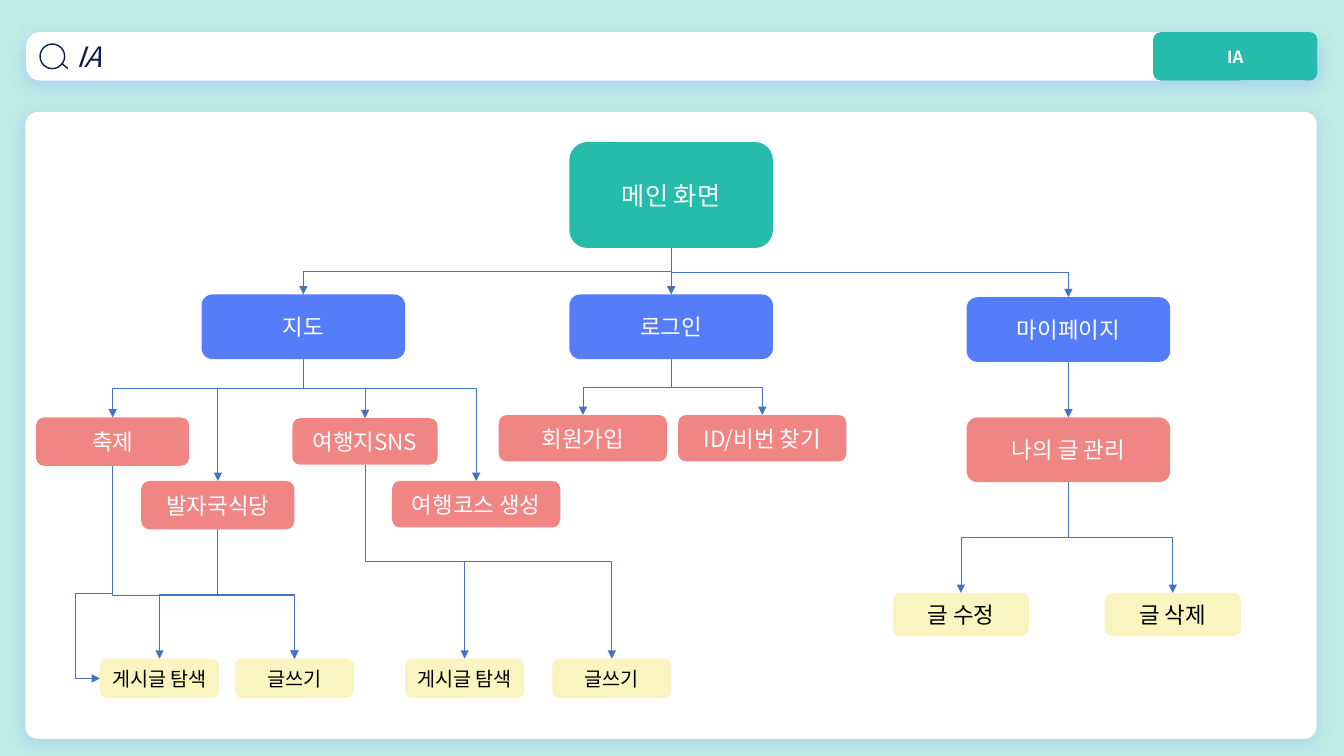
import pptx
import pptx.util
import pptx.dml.color
import pptx.enum.shapes
import pptx.enum.text
import pptx.oxml.ns
import lxml.etree

Cm = pptx.util.Cm
Pt = pptx.util.Pt
qn = pptx.oxml.ns.qn
MSO_SHAPE = pptx.enum.shapes.MSO_SHAPE
MSO_CONNECTOR = pptx.enum.shapes.MSO_CONNECTOR
MSO_ANCHOR = pptx.enum.text.MSO_ANCHOR
PP_ALIGN = pptx.enum.text.PP_ALIGN

COLORS = {
    "page": "BEEBE6", "white": "FFFFFF", "teal": "26BBAA", "blue": "557CF9",
    "pink": "F08684", "cream": "FAF4C0", "navy": "0F1D4A", "black": "000000",
    "arrow": "4472C4", "shadow": "8FACFC",
}
LEFT, BOTTOM, TOP = 1, 2, 0


def rgb(name):
    return pptx.dml.color.RGBColor.from_string(COLORS[name])


def child(parent, tag, **attrs):
    return lxml.etree.SubElement(parent, qn(tag), {k: str(v) for k, v in attrs.items()})


class Sheet:
    font = "Noto Sans CJK KR"

    def __init__(self, prs):
        self.s = prs.slides.add_slide(prs.slide_layouts[5])
        fill = self.s.background.fill
        fill.solid()
        fill.fore_color.rgb = rgb("page")

    def label(self, sp, text, size, color, align=PP_ALIGN.CENTER, bold=False, italic=False):
        tf = sp.text_frame
        tf.word_wrap = True
        tf.auto_size = pptx.enum.text.MSO_AUTO_SIZE.NONE
        tf.vertical_anchor = MSO_ANCHOR.MIDDLE
        p = tf.paragraphs[0]
        p.alignment = align
        r = p.add_run()
        r.text = text
        r.font.name = self.font
        r.font.size = Pt(size)
        r.font.bold = bold
        r.font.italic = italic
        r.font.color.rgb = rgb(color)
        child(r.font._element, "a:ea", typeface=self.font)

    def title(self, text, x, y, w, h):
        sp = self.s.shapes.title
        sp.left, sp.top, sp.width, sp.height = Cm(x), Cm(y), Cm(w), Cm(h)
        sp.text_frame.margin_left = Cm(1.27)
        self.label(sp, text, 20, "navy", PP_ALIGN.LEFT, italic=True)
        return sp

    def box(self, x, y, w, h, color, radius=0.17, shadow=False):
        sp = self.s.shapes.add_shape(MSO_SHAPE.ROUNDED_RECTANGLE, Cm(x), Cm(y), Cm(w), Cm(h))
        sp.adjustments[0] = radius
        sp.fill.solid()
        sp.fill.fore_color.rgb = rgb(color)
        sp.line.fill.background()
        sp.shadow.inherit = False
        if shadow:
            effects = sp.element.spPr.find(qn("a:effectLst"))
            outer = child(effects, "a:outerShdw", blurRad=Pt(11), dist=Pt(3),
                          dir=5400000, algn="t", rotWithShape=0)
            clr = child(outer, "a:srgbClr", val=COLORS["shadow"])
            child(clr, "a:alpha", val=40000)
        return sp

    def ring(self, x, y, d):
        sp = self.s.shapes.add_shape(MSO_SHAPE.OVAL, Cm(x), Cm(y), Cm(d), Cm(d))
        sp.fill.background()
        sp.line.color.rgb = rgb("navy")
        sp.line.width = Pt(1)
        sp.shadow.inherit = False

    def line(self, x1, y1, x2, y2, color, width, kind=MSO_CONNECTOR.STRAIGHT):
        c = self.s.shapes.add_connector(kind, Cm(x1), Cm(y1), Cm(x2), Cm(y2))
        c.line.color.rgb = rgb(color)
        c.line.width = Pt(width)
        child(c.element.spPr, "a:effectLst")
        return c

    def arrow(self, parent, node, bends=(0.5,), side=TOP):
        straight = abs(parent.left + parent.width / 2 - node.left - node.width / 2) < Cm(0.05)
        kind = MSO_CONNECTOR.STRAIGHT if straight else MSO_CONNECTOR.ELBOW
        c = self.line(0, 0, 1, 1, "arrow", 0.5, kind)
        child(c.element.spPr.find(qn("a:ln")), "a:tailEnd", type="triangle")
        c.begin_connect(parent, BOTTOM)
        c.end_connect(node, side)
        if not straight:
            self.turn_down(c, bends)

    def turn_down(self, c, bends):
        dx, dy = c.end_x - c.begin_x, c.end_y - c.begin_y
        mid_x, mid_y = (c.begin_x + c.end_x) // 2, (c.begin_y + c.end_y) // 2
        xfrm = c.element.spPr.find(qn("a:xfrm"))
        xfrm.attrib.clear()
        c.left, c.top = mid_x - dy // 2, mid_y - abs(dx) // 2
        c.width, c.height = dy, abs(dx)
        xfrm.set("rot", "5400000" if dx < 0 else "16200000")
        if dx > 0:
            xfrm.set("flipH", "1")
        geom = c.element.spPr.find(qn("a:prstGeom"))
        geom.set("prst", f"bentConnector{len(bends) + 2}")
        guides = geom.find(qn("a:avLst"))
        for i, bend in enumerate(bends, 1):
            child(guides, "a:gd", name=f"adj{i}", fmla=f"val {round(bend * 100000)}")


NODES = {
    "main": ("메인 화면", 14.35, 3.58, 5.13, 2.67, "teal", 18),
    "map": ("지도", 5.08, 7.42, 5.13, 1.63, "blue", 16),
    "login": ("로그인", 14.35, 7.42, 5.13, 1.63, "blue", 16),
    "my_page": ("마이페이지", 24.36, 7.49, 5.13, 1.63, "blue", 16),
    "festival": ("축제", 0.91, 10.52, 3.86, 1.22, "pink", 16),
    "diner": ("발자국식당", 3.56, 12.12, 3.86, 1.22, "pink", 16),
    "sns": ("여행지SNS", 7.37, 10.54, 3.66, 1.17, "pink", 16),
    "course": ("여행코스 생성", 9.88, 12.12, 4.24, 1.17, "pink", 16),
    "sign_up": ("회원가입", 12.57, 10.46, 4.24, 1.17, "pink", 16),
    "find_id": ("ID/비번 찾기", 17.09, 10.46, 4.24, 1.17, "pink", 16),
    "my_posts": ("나의 글 관리", 24.36, 10.52, 5.13, 1.63, "pink", 16),
    "edit": ("글 수정", 22.5, 14.94, 3.43, 1.09, "cream", 16),
    "delete": ("글 삭제", 27.84, 14.94, 3.43, 1.09, "cream", 16),
    "browse": ("게시글 탐색", 2.52, 16.6, 3, 0.99, "cream", 14),
    "new_post": ("글쓰기", 5.92, 16.6, 3, 0.99, "cream", 14),
    "sns_browse": ("게시글 탐색", 10.21, 16.6, 3, 0.99, "cream", 14),
    "sns_new_post": ("글쓰기", 13.92, 16.6, 3, 0.99, "cream", 14),
}
BRANCHES = {
    "main": ["map", "login", "my_page"],
    "map": ["festival", "sns"],
    "login": ["sign_up", "find_id"],
    "my_page": ["my_posts"],
    "my_posts": ["edit", "delete"],
    "diner": ["browse", "new_post"],
    "sns": ["sns_browse", "sns_new_post"],
}
LONG_BRANCHES = [
    ("map", "diner", (0.24,), TOP),
    ("map", "course", (0.24,), TOP),
    ("festival", "new_post", (0.67,), TOP),
    ("festival", "browse", (0.6, 2.98), LEFT),
]


def main():
    prs = pptx.Presentation()
    prs.slide_width, prs.slide_height = Cm(33.87), Cm(19.05)
    sheet = Sheet(prs)

    bar = sheet.box(0.66, 0.81, 32.54, 1.22, "white", 0.29, shadow=True)
    title = sheet.title("IA", 0.66, 0.81, 28.4, 1.22)
    bar.element.addnext(title.element)
    sheet.ring(1.01, 1.11, 0.62)
    sheet.line(1.55, 1.59, 1.71, 1.73, "navy", 1)
    tag = sheet.box(29.06, 0.81, 4.14, 1.22, "teal", 0.16)
    sheet.label(tag, "IA", 12, "white", bold=True)
    sheet.box(0.64, 2.82, 32.54, 15.8, "white", 0.02, shadow=True)

    nodes = {}
    for key, (text, x, y, w, h, color, size) in NODES.items():
        nodes[key] = sheet.box(x, y, w, h, color)
        sheet.label(nodes[key], text, size, "black" if color == "cream" else "white")
    for parent, children in BRANCHES.items():
        for key in children:
            sheet.arrow(nodes[parent], nodes[key])
    for parent, key, bends, side in LONG_BRANCHES:
        sheet.arrow(nodes[parent], nodes[key], bends, side)

    prs.save("out.pptx")


if __name__ == "__main__":
    main()
